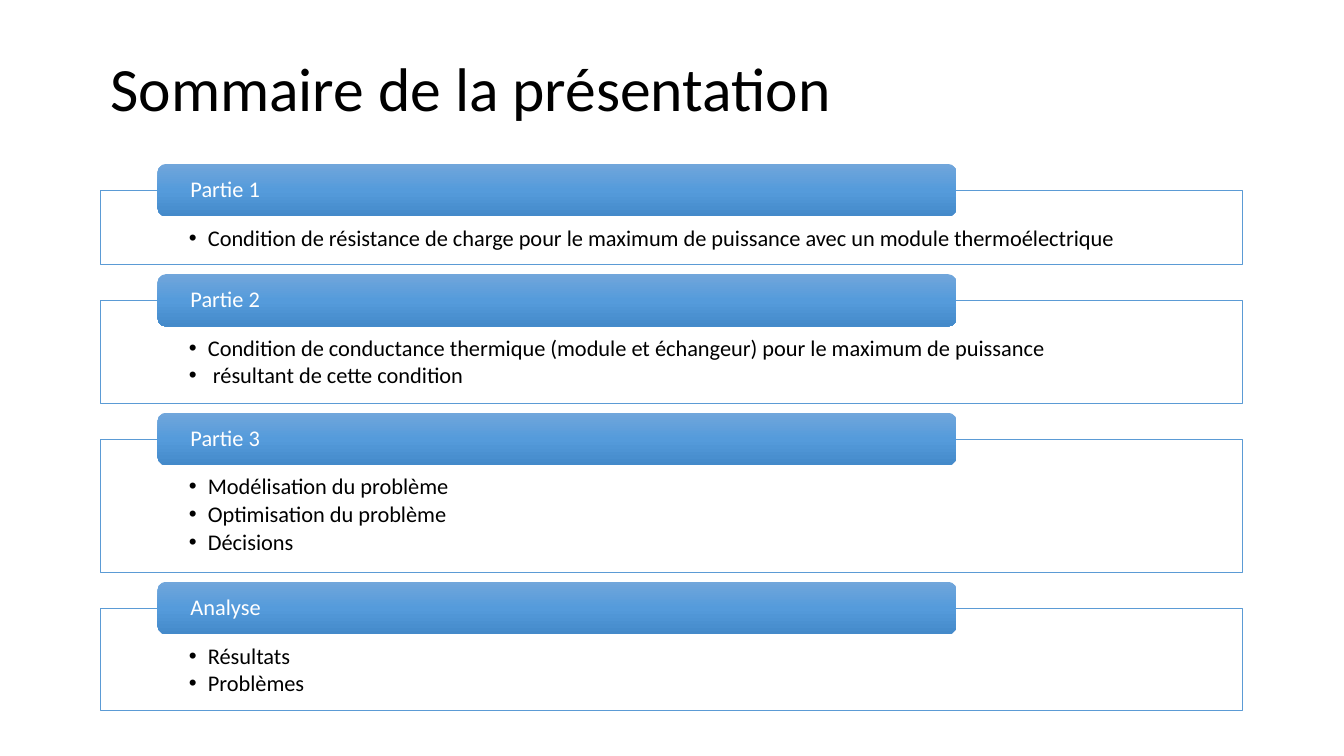
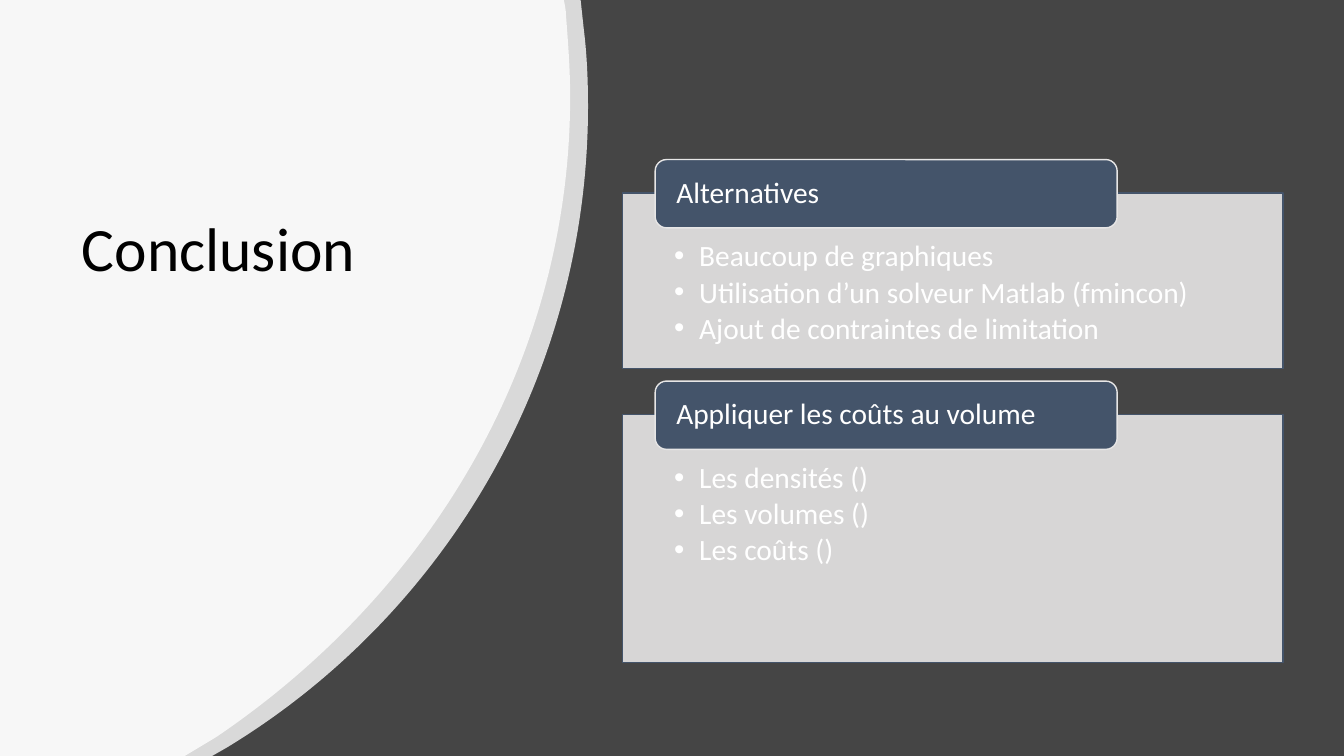
from copy import deepcopy

from pptx import Presentation
from pptx.dml.color import RGBColor
from pptx.enum.shapes import MSO_SHAPE
from pptx.enum.text import MSO_ANCHOR, MSO_AUTO_SIZE, PP_ALIGN
from pptx.oxml.ns import qn
from pptx.util import Pt

RECTANGLE, ROUNDED = MSO_SHAPE.RECTANGLE, MSO_SHAPE.ROUNDED_RECTANGLE
TOP, MIDDLE, LEFT = MSO_ANCHOR.TOP, MSO_ANCHOR.MIDDLE, PP_ALIGN.LEFT
NO_AUTOFIT = MSO_AUTO_SIZE.NONE

# Shared measures and styles
PX = 9525
SLIDE_WIDTH, SLIDE_HEIGHT = 1280, 720
FONT, BULLET_FONT = "Calibri", "Arial"
TITLE_SIZE = 44
LINE_SPACING = 0.9
SPACE_AFTER = 0.15
TITLE_INSETS = (10, 5, 10, 5)
BLACK, WHITE = "000000", "FFFFFF"

# Content
SUMMARY = [
    ("Partie 1", 71, [
        "Condition de résistance de charge pour le maximum de puissance avec un module thermoélectrique",
    ]),
    ("Partie 2", 98, [
        "Condition de conductance thermique (module et échangeur) pour le maximum de puissance",
        " résultant de cette condition",
    ]),
    ("Partie 3", 127, [
        "Modélisation du problème",
        "Optimisation du problème",
        "Décisions",
    ]),
    ("Analyse", 98, ["Résultats", "Problèmes"]),
]
CONCLUSION = [
    ("Alternatives", 167, [
        "Beaucoup de graphiques",
        "Utilisation d’un solveur Matlab (fmincon)",
        "Ajout de contraintes de limitation",
    ]),
    ("Appliquer les coûts au volume", 236, [
        "Les densités ()",
        "Les volumes ()",
        "Les coûts ()",
    ]),
]

# Each slide: title, backdrop and the look of its list of sections
SLIDES = [
    {
        "title": "Sommaire de la présentation", "title_at": (95, 21, 1087, 132),
        "background": WHITE, "curves": [], "sections": SUMMARY,
        "left": 96, "top": 181, "width": 1087, "gap": 34,
        "panel_fill": [WHITE], "panel_line": ("5B9BD5", 0.5),
        "panel_insets": (84, 35, 84, 12),
        "tab_left": 150, "tab_width": 761, "tab_height": 50, "tab_rise": 25,
        "tab_fill": ["71A6DB", "559BDB", "448ACA"], "tab_line": None,
        "tab_inset": 29,
        "text_color": BLACK, "size": 16, "indent": 18,
    },
    {
        "title": "Conclusion", "title_at": (68, 54, 382, 372),
        "background": "454545",
        # Outline steps: one point is a line, three points are a Bézier curve
        "curves": [
            [[(553, 0)], [(556, 28)],
             [(559, 52), (560, 77), (560, 101)],
             [(560, 360), (422, 587), (216, 712)],
             [(202, 720)], [(0, 720)]],
            [[(537, 0)],
             [(538, 5), (539, 10), (539, 14)],
             [(541, 40), (543, 66), (543, 92)],
             [(543, 342), (411, 563), (206, 702)],
             [(176, 720)], [(0, 720)]],
        ],
        "sections": CONCLUSION,
        "left": 593, "top": 184, "width": 629, "gap": 44,
        "panel_fill": ["E7E6E6"], "panel_line": ("44546A", 1),
        "panel_insets": (49, 46, 49, 15),
        "tab_left": 624, "tab_width": 440, "tab_height": 65, "tab_rise": 32,
        "tab_fill": ["44546A"], "tab_line": ("E7E6E6", 1),
        "tab_inset": 17,
        "text_color": WHITE, "size": 21, "indent": 24,
    },
]


def px(*lengths):
    return [length * PX for length in lengths]


def rgb(color):
    return RGBColor.from_string(color)


def set_all(target, values):
    for name, value in values.items():
        setattr(target, name, value)


def add_child(parent, tag, **values):
    child = parent.makeelement(qn(tag), values)
    parent.append(child)
    return child


def paint(shape, colors, line=None, opacity=100):
    """Fill with one colour or a downward gradient, and set the outline."""
    shape.shadow.inherit = False
    fill = shape.fill
    properties = shape._element.spPr
    if len(colors) == 1:
        fill.solid()
        fill.fore_color.rgb = rgb(colors[0])
        if opacity < 100:
            color = properties.find(qn("a:solidFill"))[0]
            add_child(color, "a:alpha", val=str(opacity * 1000))
    else:
        fill.gradient()
        fill.gradient_angle = 270
        stop_list = properties.find(".//" + qn("a:gsLst"))
        while len(stop_list) < len(colors):
            stop_list.append(deepcopy(stop_list[0]))
        for index, (stop, color) in enumerate(zip(fill.gradient_stops, colors)):
            stop.position = index / (len(colors) - 1)
            stop.color.rgb = rgb(color)
    if line:
        shape.line.color.rgb = rgb(line[0])
        shape.line.width = Pt(line[1])
    else:
        shape.line.fill.background()


def write(shape, lines, size, color, insets, anchor, indent=0):
    """Put left-aligned paragraphs in a shape, bulleted when indented."""
    frame = shape.text_frame
    margins = ("margin_left", "margin_top", "margin_right", "margin_bottom")
    set_all(frame, {"word_wrap": True, "auto_size": NO_AUTOFIT,
                    "vertical_anchor": anchor, **dict(zip(margins, px(*insets)))})
    for index, line in enumerate(lines):
        para = frame.add_paragraph() if index else frame.paragraphs[0]
        if indent:
            properties = para._p.get_or_add_pPr()
            properties.set("marL", str(indent * PX))
            properties.set("indent", str(-indent * PX))
            add_child(properties, "a:buFont", typeface=BULLET_FONT)
            add_child(properties, "a:buChar", char="•")
            para.space_after = Pt(size * SPACE_AFTER)
        set_all(para, {"alignment": LEFT, "line_spacing": LINE_SPACING})
        span = para.add_run()
        span.text = line
        set_all(span.font, {"name": FONT, "size": Pt(size)})
        span.font.color.rgb = rgb(color)


def add_curve(page, outline):
    """Draw the outline, merging each three-point step into one Bézier curve."""
    points = [px(*point) for step in outline for point in step]
    builder = page.shapes.build_freeform(0, 0)
    builder.add_line_segments(points, close=True)
    shape = builder.convert_to_shape()
    segments = iter(shape._element.findall(".//" + qn("a:lnTo")))
    for step in outline:
        parts = [next(segments) for _ in step]
        if len(parts) == 3:
            curve = parts[0].makeelement(qn("a:cubicBezTo"))
            parts[0].addprevious(curve)
            for part in parts:
                curve.append(part[0])
                part.getparent().remove(part)
    paint(shape, [WHITE], opacity=80)


def add_title(page, text, place):
    title = page.shapes.title
    set_all(title, dict(zip(("left", "top", "width", "height"), px(*place))))
    write(title, [text], TITLE_SIZE, BLACK, TITLE_INSETS, MIDDLE)
    # Bring the title in front of the curves
    page.shapes._spTree.append(title._element)


def add_sections(page, look):
    top = look["top"]
    for heading, height, lines in look["sections"]:
        # Panel with bullets
        panel = page.shapes.add_shape(
            RECTANGLE, *px(look["left"], top, look["width"], height))
        paint(panel, look["panel_fill"], look["panel_line"], opacity=90)
        write(panel, lines, look["size"], look["text_color"],
              look["panel_insets"], TOP, look["indent"])
        # Heading tab across the panel's top edge
        tab = page.shapes.add_shape(
            ROUNDED, *px(look["tab_left"], top - look["tab_rise"],
                         look["tab_width"], look["tab_height"]))
        paint(tab, look["tab_fill"], look["tab_line"])
        inset = look["tab_inset"]
        write(tab, [heading], look["size"], WHITE, (inset, 0, inset, 0), MIDDLE)
        top += height + look["gap"]


def main():
    deck = Presentation()
    deck.slide_width, deck.slide_height = px(SLIDE_WIDTH, SLIDE_HEIGHT)
    for look in SLIDES:
        page = deck.slides.add_slide(deck.slide_layouts[5])
        page.background.fill.solid()
        page.background.fill.fore_color.rgb = rgb(look["background"])
        for outline in look["curves"]:
            add_curve(page, outline)
        add_title(page, look["title"], look["title_at"])
        add_sections(page, look)
    deck.save("out.pptx")


if __name__ == "__main__":
    main()
